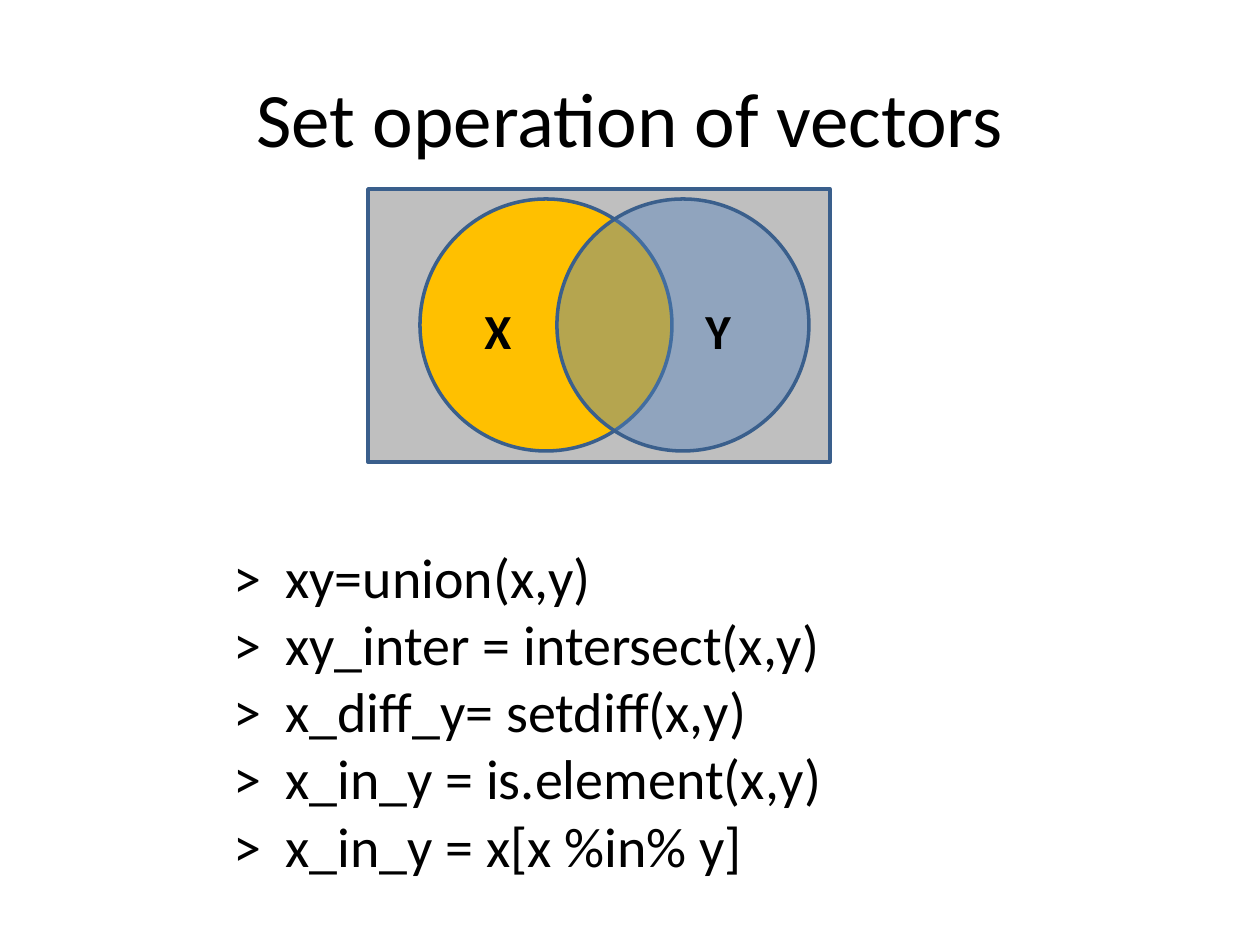
import pptx
import pptx.util
import pptx.dml.color
import pptx.enum.shapes
import pptx.enum.text
import pptx.oxml
import pptx.oxml.ns

EMU_PER_PX = 914400 // 126
FONT = "Calibri"
BLACK = pptx.dml.color.RGBColor(0x00, 0x00, 0x00)
UNIVERSE_GREY = pptx.dml.color.RGBColor(0xBF, 0xBF, 0xBF)
SET_X_AMBER = pptx.dml.color.RGBColor(0xFF, 0xC0, 0x00)
SET_Y_BLUE = pptx.dml.color.RGBColor(0x4F, 0x81, 0xBD)
OUTLINE = pptx.dml.color.RGBColor(0x3A, 0x5F, 0x8C)

SHAPES = pptx.enum.shapes.MSO_SHAPE
ALIGN = pptx.enum.text.PP_ALIGN
ANCHOR = pptx.enum.text.MSO_ANCHOR

COMMANDS = [
    "xy=union(x,y)",
    "xy_inter = intersect(x,y)",
    "x_diff_y= setdiff(x,y)",
    "x_in_y = is.element(x,y)",
    "x_in_y = x[x %in% y]",
]


def px(pixels):
    return pptx.util.Emu(pixels * EMU_PER_PX)


def add_text(slide, lines, box, size, bold=False, align=ALIGN.LEFT,
             anchor=ANCHOR.TOP, hanging=0):
    frame = slide.shapes.add_textbox(*map(px, box)).text_frame
    frame.word_wrap = True
    frame.vertical_anchor = anchor
    for index, line in enumerate(lines):
        paragraph = frame.paragraphs[0] if index == 0 else frame.add_paragraph()
        paragraph.alignment = align
        if hanging:
            properties = paragraph._p.get_or_add_pPr()
            properties.set("marL", str(px(hanging)))
            properties.set("indent", str(-px(hanging)))
        run = paragraph.add_run()
        run.text = line
        run.font.name = FONT
        run.font.size = pptx.util.Pt(size)
        run.font.bold = bold
        run.font.color.rgb = BLACK


def add_region(shapes, kind, box, color, opacity=100):
    region = shapes.add_shape(kind, *map(px, box))
    region.shadow.inherit = False
    region.fill.solid()
    region.fill.fore_color.rgb = color
    region.line.color.rgb = OUTLINE
    region.line.width = pptx.util.Pt(2)
    if opacity < 100:
        solid = region._element.spPr.find(pptx.oxml.ns.qn("a:solidFill"))
        alpha = pptx.oxml.parse_xml(
            f'<a:alpha {pptx.oxml.ns.nsdecls("a")} val="{opacity * 1000}"/>')
        solid[0].append(alpha)


def add_venn(slide):
    # Universe behind the two overlapping sets
    add_region(slide.shapes, SHAPES.RECTANGLE, (368, 189, 462, 273), UNIVERSE_GREY)
    sets = slide.shapes.add_group_shape().shapes
    add_region(sets, SHAPES.OVAL, (420, 199, 252, 252), SET_X_AMBER)
    add_region(sets, SHAPES.OVAL, (557, 199, 252, 252), SET_Y_BLUE, opacity=42)
    # Set names
    for name, left in (("X", 472), ("Y", 693)):
        add_text(slide, [name], (left, 294, 42, 72), 28, bold=True)


def main():
    deck = pptx.Presentation()
    deck.slide_width = pptx.util.Inches(10)
    deck.slide_height = pptx.util.Inches(7.5)
    slide = deck.slides.add_slide(deck.slide_layouts[6])

    # Title
    add_text(slide, ["Set operation of vectors"], (63, 38, 1134, 157), 44,
             align=ALIGN.CENTER, anchor=ANCHOR.MIDDLE)
    add_venn(slide)

    # Console commands, aligned after the prompt
    add_text(slide, [f">\t{command}" for command in COMMANDS],
             (221, 536, 809, 352), 32, hanging=52)

    deck.save("out.pptx")


main()
